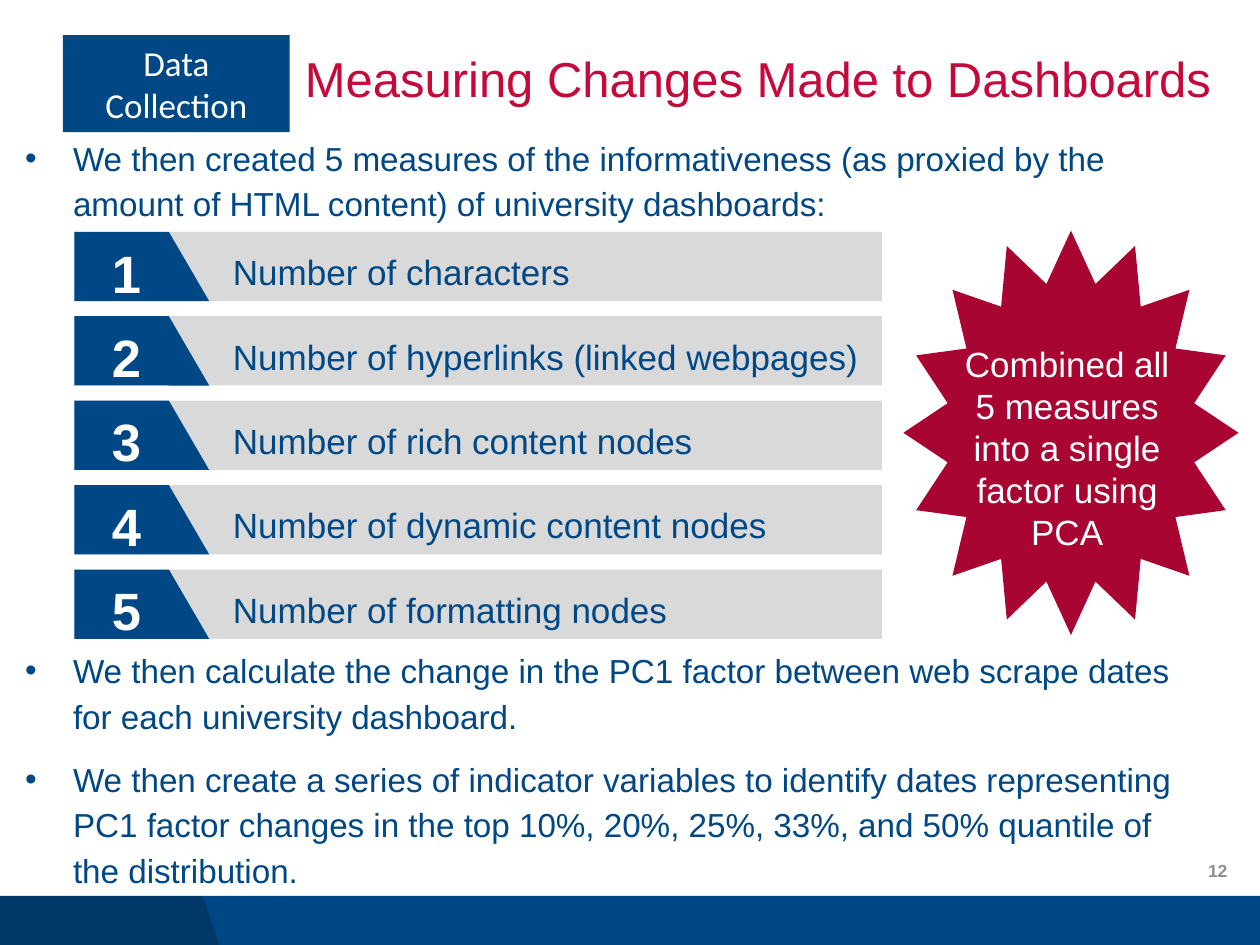
from lxml import etree
from pptx import Presentation
from pptx.dml.color import RGBColor
from pptx.enum.shapes import MSO_SHAPE
from pptx.enum.text import MSO_ANCHOR, MSO_AUTO_SIZE, PP_ALIGN
from pptx.oxml.ns import qn
from pptx.util import Inches, Pt

RECT, TRI, STAR = MSO_SHAPE.RECTANGLE, MSO_SHAPE.RIGHT_TRIANGLE, MSO_SHAPE.STAR_16_POINT
TRI = MSO_SHAPE.ISOSCELES_TRIANGLE
LEFT, MID, RIGHT = PP_ALIGN.LEFT, PP_ALIGN.CENTER, PP_ALIGN.RIGHT
TOP, CENTER = MSO_ANCHOR.TOP, MSO_ANCHOR.MIDDLE
FIXED = MSO_AUTO_SIZE.NONE

BLUE = RGBColor(0x00, 0x47, 0x85)
RED = RGBColor(0xC5, 0x09, 0x3B)
WINE = RGBColor(0xA9, 0x05, 0x33)
PALE = RGBColor(0xD9, 0xD9, 0xD9)
GRAY = RGBColor(0x8F, 0x8F, 0x93)
WHITE = RGBColor(0xFF, 0xFF, 0xFF)
BLACK = RGBColor(0x00, 0x00, 0x00)

MEASURES = [
    "Number of characters",
    "Number of hyperlinks (linked webpages)",
    "Number of rich content nodes",
    "Number of dynamic content nodes",
    "Number of formatting nodes",
]
INTRO = ["We then created 5 measures of the informativeness (as proxied by the "
         "amount of HTML content) of university dashboards:"]
STEPS = [
    "We then calculate the change in the PC1 factor between web scrape dates "
    "for each university dashboard.",
    "We then create a series of indicator variables to identify dates representing "
    "PC1 factor changes in the top 10%, 20%, 25%, 33%, and 50% quantile of the distribution.",
]


def block(shapes, kind, fill, *box):
    """Add a flat preset shape; box is left, top, width, height in inches."""
    shape = shapes.add_shape(kind, *map(Inches, box))
    shape.shadow.inherit = False
    shape.fill.solid()
    shape.fill.fore_color.rgb = fill
    shape.line.fill.background()
    return shape


def write(shape, lines, size, color, box=None, align=LEFT, anchor=TOP,
          bold=False, face="Arial", space=1.0, inset=0.1, bullet=False):
    """Place a shape and fill it with one paragraph per line."""
    if box:
        shape.left, shape.top, shape.width, shape.height = map(Inches, box)
    frame = shape.text_frame
    look = {"word_wrap": True, "auto_size": FIXED, "vertical_anchor": anchor,
            "margin_left": Inches(inset), "margin_right": Inches(inset)}
    for name, value in look.items():
        setattr(frame, name, value)
    for i, line in enumerate(lines):
        para = frame.add_paragraph() if i else frame.paragraphs[0]
        para.text = line
        look = {"alignment": align, "line_spacing": space,
                "space_before": Pt(8 if i else 0), "space_after": Pt(2 if bullet else 0)}
        for name, value in look.items():
            setattr(para, name, value)
        if bullet:
            props = para._p.get_or_add_pPr()
            props.set("marL", str(Inches(0.38)))
            props.set("indent", str(-Inches(0.38)))
            etree.SubElement(props, qn("a:buFont")).set("typeface", "Arial")
            etree.SubElement(props, qn("a:buChar")).set("char", "•")
        for run in para.runs:
            for name, value in {"name": face, "size": Pt(size), "bold": bold}.items():
                setattr(run.font, name, value)
            run.font.color.rgb = color


deck = Presentation()
deck.slide_width, deck.slide_height = Inches(10), Inches(7.5)
slide = deck.slides.add_slide(deck.slide_layouts[1])
shapes = slide.shapes

# Footer band with a darker slanted end
block(shapes, RECT, BLUE, 0, 7.11, 10, 0.42)
pen = shapes.build_freeform(Inches(0), Inches(7.11))
pen.add_line_segments([(Inches(x), Inches(y)) for x, y in
                       [(1.61, 7.11), (1.75, 7.53), (0, 7.53)]], close=True)
shade = pen.convert_to_shape()
shade.shadow.inherit = False
shade.fill.solid()
shade.fill.fore_color.rgb = BLACK
shade.line.fill.background()
tint = shade._element.spPr.find(qn("a:solidFill"))[0]
etree.SubElement(tint, qn("a:alpha")).set("val", "20000")
page = shapes.add_textbox(0, 0, 0, 0)
write(page, ["12"], 10, GRAY, (7.59, 6.71, 2.25, 0.4), RIGHT, CENTER, bold=True)

# Heading
write(shapes.title, ["Measuring Changes Made to Dashboards"], 28, RED,
      (2.42, 0.38, 7.39, 0.53), anchor=CENTER, space=0.9, inset=0)
tag = block(shapes, RECT, BLUE, 0.5, 0.28, 1.8, 0.77)
write(tag, ["Data\nCollection"], 20, WHITE, align=MID, anchor=CENTER, face="Calibri")

# Bulleted text above and below the measures
write(slide.placeholders[1], INTRO, 19, BLUE, (0.2, 1, 9.08, 1.12),
      space=1.14, inset=0, bullet=True)
steps = shapes.add_textbox(0, 0, 0, 0)
write(steps, STEPS, 19, BLUE, (0.2, 5.07, 9.38, 2.27),
      space=1.14, inset=0, bullet=True)

# Numbered measures
for i, label in enumerate(MEASURES):
    top = 1.84 + 0.67 * i
    row = shapes.add_group_shape().shapes
    block(row, RECT, PALE, 0.59, top, 6.41, 0.55)
    block(row, RECT, BLUE, 0.59, top, 0.75, 0.55)
    block(row, TRI, BLUE, 1.34, top, 0.32, 0.55).adjustments[0] = 0
    write(row.add_textbox(0, 0, 0, 0), [str(i + 1)], 30, WHITE,
          (0.79, top + 0.02, 0.61, 0.51), bold=True)
    write(row.add_textbox(0, 0, 0, 0), [label], 20, BLUE,
          (1.75, top + 0.1, 5.34, 0.37))

# Result
block(shapes, STAR, WINE, 7.17, 1.83, 2.66, 3.21)
note = shapes.add_textbox(0, 0, 0, 0)
write(note, ["Combined all 5 measures into a single factor using PCA"], 20, WHITE,
      (7.52, 2.67, 1.9, 1.78), MID)

deck.save("out.pptx")
